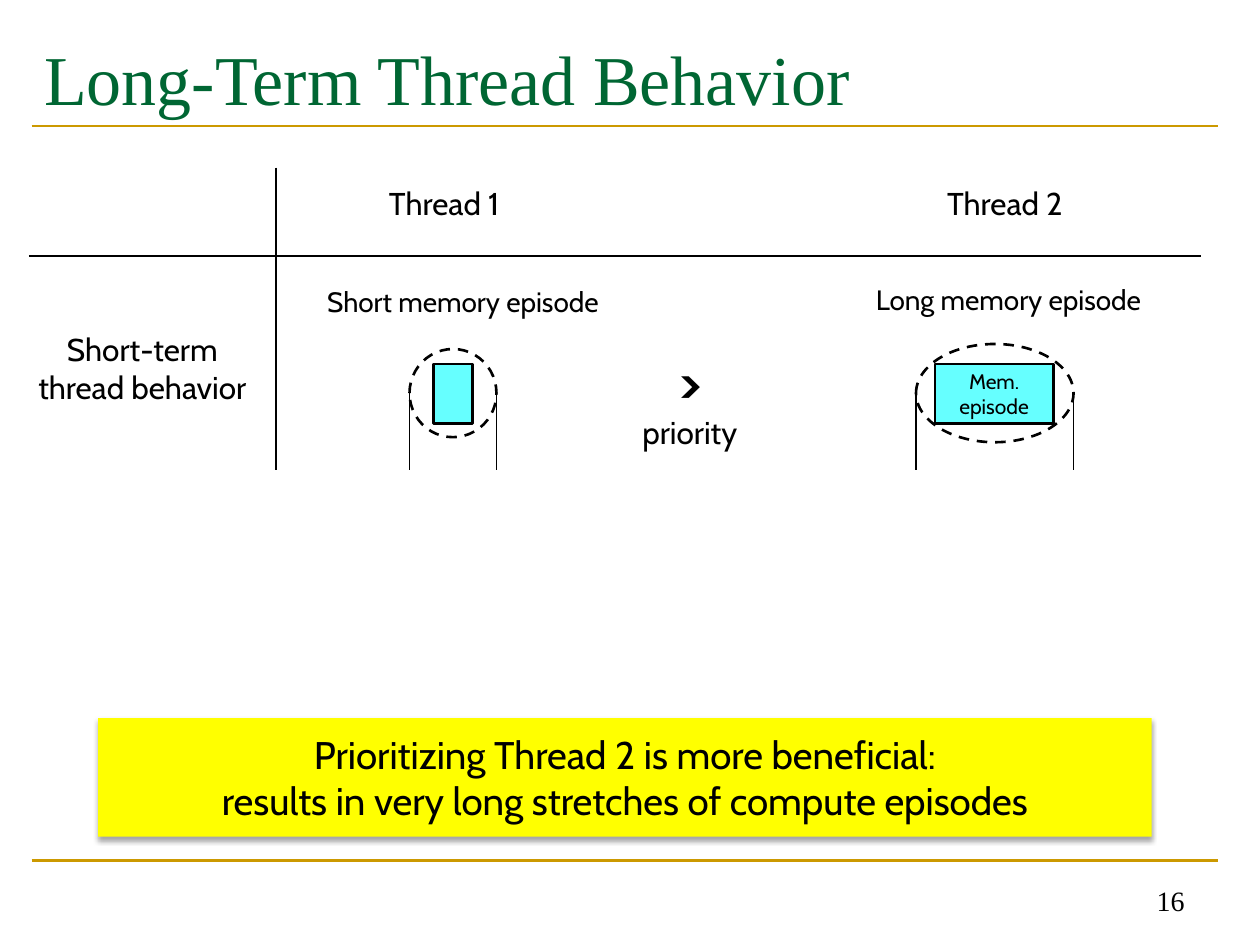
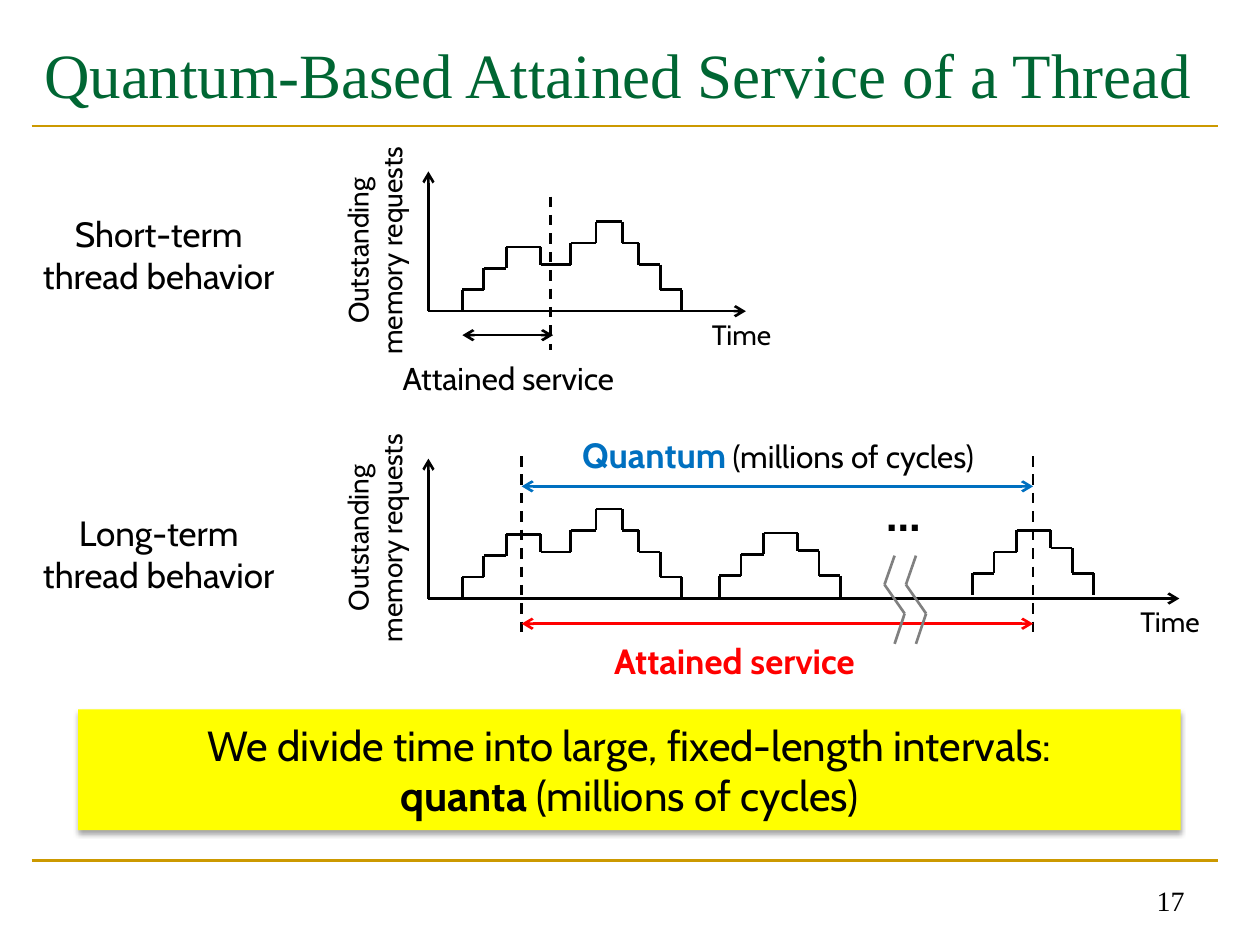
import itertools
import lxml.etree
import pptx
import pptx.dml.color
import pptx.enum.dml
import pptx.enum.shapes
import pptx.enum.text
import pptx.oxml.ns
import pptx.util

Pt = pptx.util.Pt
RGB = pptx.dml.color.RGBColor.from_string
qn = pptx.oxml.ns.qn
Kind = pptx.enum.shapes.MSO_SHAPE
Dash = pptx.enum.dml.MSO_LINE.DASH
Align = pptx.enum.text.PP_ALIGN
Anchor = pptx.enum.text.MSO_ANCHOR

HUES = {"ink": "000000", "title": "006633", "rule": "CC9900", "cyan": "66FFFF",
        "note": "FFFF00", "red": "FF0000", "blue": "0070C0", "gray": "808080"}
SANS, SERIF = "Cabin", "Times New Roman"

deck = pptx.Presentation()
deck.slide_width, deck.slide_height = pptx.util.Inches(10), pptx.util.Inches(7.5)
COL, ROW = deck.slide_width / 10, deck.slide_height / 7.5  # grid of 10 by 7.5 cells


def put(slide, box, paras=(), size=18, kind=None, fill=None, edge=None, dash=None,
        font=SANS, align=Align.CENTER, anchor=Anchor.TOP, turn=0):
    """Add a text box, or a shape of the given kind; a paragraph is a string
    or a list of (text, font values) runs."""
    left, top, width, height = box
    area = [int(v) for v in (left * COL, top * ROW, width * COL, height * ROW)]
    if kind is None:
        shape = slide.shapes.add_textbox(*area)
    else:
        shape = slide.shapes.add_shape(kind, *area)
        shape.shadow.inherit = False
        if fill:
            shape.fill.solid()
            shape.fill.fore_color.rgb = RGB(HUES[fill])
        else:
            shape.fill.background()
        if edge:
            shape.line.color.rgb = RGB(HUES[edge])
            shape.line.width = Pt(1.5)
            shape.line.dash_style = dash
        else:
            shape.line.fill.background()
    shape.rotation = turn
    frame = shape.text_frame
    frame.word_wrap = True
    frame.vertical_anchor = anchor
    for i, runs in enumerate(paras):
        para = frame.add_paragraph() if i else frame.paragraphs[0]
        para.alignment = align
        for words, look in [(runs, {})] if isinstance(runs, str) else runs:
            para.add_run().text = words
            run = para.runs[-1]
            # a line break leaves the run, so it is written as two runs
            if "\n" in words:
                first, last = words.split("\n")
                run.text = first
                para.add_line_break()
                para.add_run().text = last
            for run in para.runs[-2:] if "\n" in words else [run]:
                values = {"size": size, "bold": False, "hue": "ink"} | look
                run.font.color.rgb = RGB(HUES[values.pop("hue")])
                values["size"] = Pt(values["size"])
                values["name"] = font
                for key, value in values.items():
                    setattr(run.font, key, value)
    return shape


def draw(slide, points, hue="ink", width=1.5, dash=None, ends=()):
    """Join the points in turn with straight connectors."""
    for (x1, y1), (x2, y2) in itertools.pairwise(points):
        line = slide.shapes.add_connector(
            pptx.enum.shapes.MSO_CONNECTOR.STRAIGHT,
            int(x1 * COL), int(y1 * ROW), int(x2 * COL), int(y2 * ROW))
        line.line.color.rgb = RGB(HUES[hue])
        line.line.width = Pt(width)
        line.line.dash_style = dash
        props = line.element.spPr
        for end in ends:
            lxml.etree.SubElement(props.find(qn("a:ln")), qn(f"a:{end}End"), type="arrow")
        lxml.etree.SubElement(props, qn("a:effectLst"))


# Shared frame: title, rules, page number and yellow note
PAGES = [
    ("Long-Term Thread Behavior", 40, "16", (0.78, 5.7, 8.36, 0.94), 22,
     ["Prioritizing Thread 2 is more beneficial:",
      "results in very long stretches of compute episodes"]),
    ("Quantum-Based Attained Service of a Thread", 36, "17", (0.62, 5.63, 8.75, 0.96), 24,
     ["We divide time into large, fixed-length intervals:",
      [("quanta ", {"bold": True}), ("(millions of cycles)", {})]]),
]
slides = []
for title, size, page, box, scale, note in PAGES:
    slide = deck.slides.add_slide(deck.slide_layouts[5])
    slides.append(slide)
    for y in (1, 6.83):
        draw(slide, [(0.25, y), (9.67, y)], "rule")
    head = slide.shapes.title
    head.left, head.top = int(0.25 * COL), int(0.17 * ROW)
    head.width, head.height = int(9.42 * COL), int(1.17 * ROW)
    frame = head.text_frame
    frame.text = title
    frame.auto_size = pptx.enum.text.MSO_AUTO_SIZE.NONE
    frame.vertical_anchor = Anchor.TOP
    frame.margin_top = int(0.11 * ROW)
    frame.paragraphs[0].alignment = Align.LEFT
    font = frame.paragraphs[0].runs[0].font
    font.name, font.size = SERIF, Pt(size)
    font.color.rgb = RGB(HUES["title"])
    put(slide, (7.17, 6.83, 2.33, 0.5), [page], 16, font=SERIF,
        align=Align.RIGHT, anchor=Anchor.BOTTOM)
    panel = put(slide, box, note, scale, Kind.RECTANGLE, "note", anchor=Anchor.MIDDLE)
    glow = lxml.etree.SubElement(
        panel.element.spPr.find(qn("a:effectLst")), qn("a:outerShdw"),
        blurRad=str(Pt(3.1)), dist=str(Pt(1.8)), dir="5400000", rotWithShape="0")
    tint = lxml.etree.SubElement(glow, qn("a:srgbClr"), val=HUES["ink"])
    lxml.etree.SubElement(tint, qn("a:alpha"), val="35000")

# Slide 16: short and long memory episodes side by side
slide = slides[0]
FLOOR = 3.73
draw(slide, [(0.23, 2.03), (9.53, 2.03)], width=1)
draw(slide, [(2.19, 1.33), (2.19, FLOOR)], width=1)
put(slide, (0, 2.57, 2.26, 0.71), ["Short-term\nthread behavior"])
put(slide, (4.77, 2.73, 1.41, 0.91), [[(">", {"size": 30, "bold": True})], "priority"])
THREADS = [
    ("Thread 1", 2.82, "Short memory episode", (2.27, 2.21, 2.81, 0.37),
     (3.44, 0.31), [], (3.25, 2.77, 0.69, 0.7)),
    ("Thread 2", 7.27, "Long memory episode", (6.64, 2.19, 2.73, 0.37),
     (7.42, 0.94), ["Mem.\nepisode"], (7.27, 2.73, 1.25, 0.78)),
]
for name, x, label, place, (left, width), words, ring in THREADS:
    put(slide, (x, 1.41, 1.41, 0.4), [name])
    put(slide, place, [label], 16)
    put(slide, (left, 2.89, width, 0.47), words, 12, Kind.RECTANGLE, "cyan", "ink",
        anchor=Anchor.MIDDLE)
    put(slide, ring, kind=Kind.OVAL, edge="ink", dash=Dash)
    for side in (ring[0], ring[0] + ring[2]):
        draw(slide, [(side, 3.12), (side, FLOOR)], width=1)

# Slide 17: requests over time, in the short and the long term
slide = slides[1]
# each step of a hill is (width, height above the time axis)
TWIN = [(0.17, 0.17), (0.18, 0.34), (0.27, 0.51), (0.24, 0.37), (0.2, 0.54),
        (0.21, 0.71), (0.13, 0.54), (0.17, 0.37), (0.17, 0.17)]
LONE = TWIN[:3] + [(0.17, 0.37), (0.17, 0.17)]
CHARTS = [
    ("Short-term", 1.64, 2.47, 5.92, 5.51, [(3.67, 2.47, TWIN)]),
    ("Long-term", 4.01, 4.75, 9.36, 8.91,
     [(3.67, 4.75, TWIN), (5.71, 4.74, LONE), (7.72, 4.72, LONE)]),
]
for term, top, base, right, time, hills in CHARTS:
    put(slide, (0.17, top, 2.18, 0.77), [f"{term}\nthread behavior"], 20)
    put(slide, (1.92, base - 0.8, 2.11, 0.64), ["Outstanding memory requests"], 16, turn=270)
    put(slide, (time, base, 0.75, 0.16), ["Time"], 16)
    for tip in ((3.4, base - 1.11), (right, base)):
        draw(slide, [(3.4, base), tip], ends=["tail"])
    for x, foot, steps in hills:
        points = [(x, foot)]
        for width, height in steps:
            points += [(x, foot - height), (x + width, foot - height)]
            x += width
        draw(slide, points + [(x, foot)])

for x, top, low in ((4.37, 1.56, 2.78), (4.14, 3.62, 5.03), (8.2, 3.62, 5.03)):
    draw(slide, [(x, top), (x, low)], dash=Dash)
SPANS = [(3.67, 4.39, 2.66, "ink"), (4.14, 8.2, 3.86, "blue"), (4.14, 8.2, 4.95, "red")]
for start, stop, y, hue in SPANS:
    draw(slide, [(start, y), (stop, y)], hue, ends=["head", "tail"])
for x in (7.02, 7.19):
    draw(slide, [(x + 0.08, 4.41), (x, 4.64), (x + 0.16, 4.87), (x + 0.08, 5.11)], "gray")

put(slide, (2.91, 2.8, 2.25, 0.4), ["Attained service"])
put(slide, (4.55, 5.03, 2.56, 0.44),
    [[("Attained service", {"size": 20, "bold": True, "hue": "red"})]])
put(slide, (4.22, 3.39, 3.91, 0.44),
    [[("Quantum", {"size": 20, "bold": True, "hue": "blue"}),
      (" ", {"size": 16}), ("(millions of cycles)", {})]])
put(slide, (6.8, 3.78, 0.75, 0.57), [[("…", {"size": 28, "bold": True})]])

deck.save("out.pptx")
